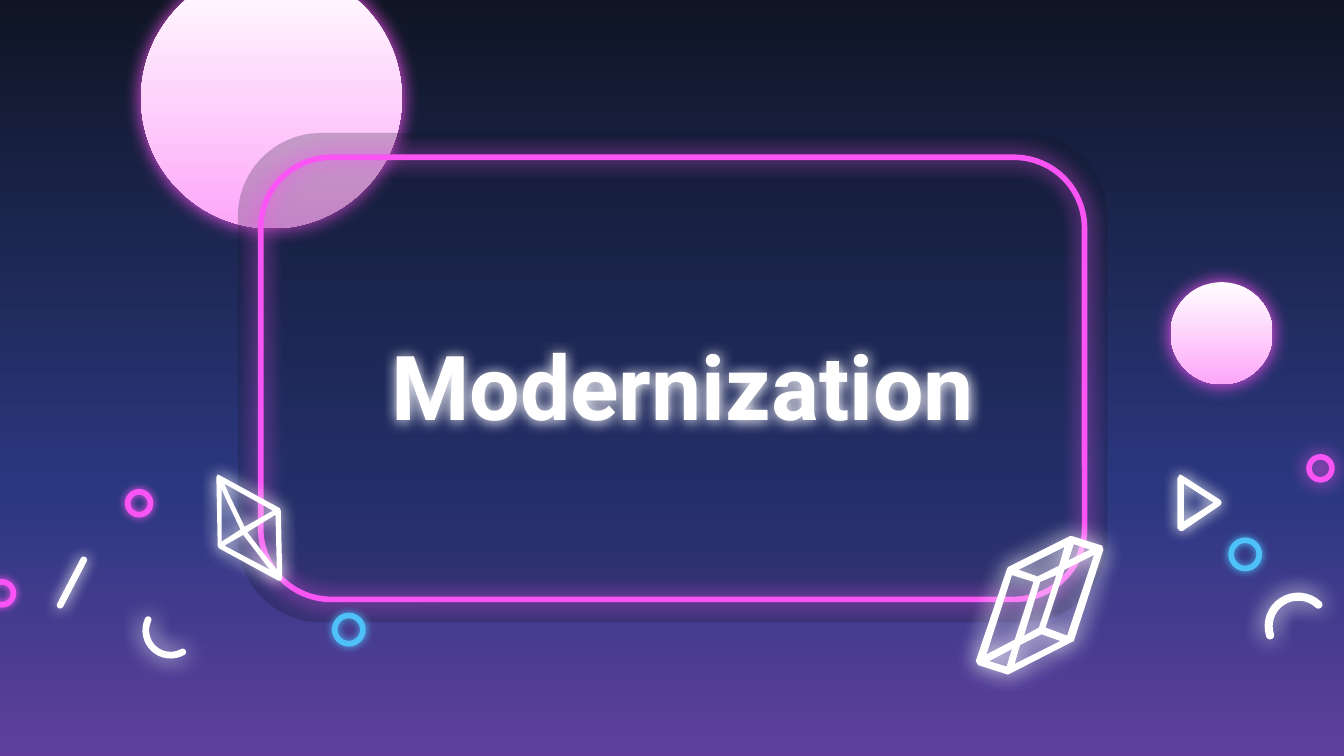
import math
from dataclasses import dataclass

import pptx
import pptx.dml.color
import pptx.enum.dml
import pptx.enum.shapes
import pptx.enum.text
import pptx.oxml
import pptx.oxml.ns
import pptx.util
from pptx.dml.color import RGBColor

# The slide is a grid of 100 columns; rows are as high as columns are wide
COLUMNS, ROWS = 100, 56.25
CELL = pptx.util.Inches(10) / COLUMNS

NIGHT = RGBColor(0x0F, 0x15, 0x24)
INDIGO = RGBColor(0x2B, 0x38, 0x80)
VIOLET = RGBColor(0x5F, 0x3F, 0x9E)
WHITE = RGBColor(0xFF, 0xFF, 0xFF)
PINK = RGBColor(0xFD, 0xA7, 0xF9)
NEON_PINK = RGBColor(0xFB, 0x54, 0xF4)
NEON_BLUE = RGBColor(0x4F, 0xC1, 0xF9)

OVAL = pptx.enum.shapes.MSO_SHAPE.OVAL
ROUNDED = pptx.enum.shapes.MSO_SHAPE.ROUNDED_RECTANGLE

Point = tuple[float, float]


@dataclass
class Circle:
    left: float
    top: float
    size: float
    color: RGBColor
    glow: float


@dataclass
class Arc:
    center: Point
    radius: float
    width: float
    start: float  # degrees, clockwise from the right
    end: float


@dataclass
class Figure:
    contours: list[list[Point]]  # the outline, then its holes
    glow: float


MOONS = [Circle(10.5, -2.4, 19.4, NEON_PINK, 10.1),
         Circle(87.1, 21, 7.6, NEON_PINK, 10.1)]
RINGS = [Circle(9.5, 36.6, 1.7, NEON_PINK, 4.5),
         Circle(97.4, 34, 1.7, NEON_PINK, 10.1),
         Circle(91.6, 40.2, 2.1, NEON_BLUE, 4.5),
         Circle(-0.7, 43.3, 1.7, NEON_PINK, 4.5)]
FRONT_RING = Circle(24.9, 45.8, 2.1, NEON_BLUE, 4.5)
ARCS = [Arc((12.7, 46.9), 1.85, 0.5, 61, 205),
        Arc((96.6, 46.6), 2.2, 0.6, 162, 313)]
TRIANGLE = Figure([
    [(87.8, 35.3), (87.6, 35.6), (87.6, 39.3), (87.8, 39.5), (88, 39.5),
     (90.8, 37.6), (90.9, 37.4), (90.8, 37.2), (88, 35.4)],
    [(88.1, 36), (90.3, 37.4), (88.1, 38.8)]], 7.9)
PRISM = Figure([
    [(79.6, 39.9), (75, 42.2), (74.9, 42.4), (72.6, 49.2), (72.8, 49.5),
     (75, 50.2), (79.7, 47.8), (79.9, 47.7), (82.1, 40.9), (82, 40.6), (79.8, 39.9)],
    [(81.1, 40.9), (79.5, 41.7), (79.9, 40.5)],
    [(79.2, 40.7), (78.8, 42.1), (77.2, 42.9), (75.8, 42.4)],
    [(81.4, 41.3), (79.4, 47.3), (77.8, 46.7), (79.2, 42.4)],
    [(78.6, 42.8), (77.3, 46.7), (76.2, 47.3), (77.4, 43.3)],
    [(76.9, 43.3), (75.5, 47.6), (73.4, 48.7), (75.3, 42.8)],
    [(78.9, 47.7), (75.5, 49.4), (75.9, 48), (77.5, 47.2)],
    [(75.3, 48.3), (74.9, 49.6), (73.6, 49.2)]], 12.4)
DIAMOND = Figure([
    [(16.1, 35.5), (16.2, 40.6), (16.3, 40.8), (20.7, 43.2), (20.9, 43.2),
     (21, 43), (20.9, 38), (20.8, 37.8), (16.4, 35.4), (16.2, 35.3)],
    [(16.7, 36), (20.3, 38), (18.2, 39.2), (17, 36.7)],
    [(16.5, 36.4), (16.8, 37.1), (17.9, 39.4), (16.5, 40.3)],
    [(18.1, 39.8), (19.7, 41.9), (20.1, 42.4), (16.7, 40.6)],
    [(20.5, 38.3), (20.6, 42.4), (20.1, 41.8), (18.4, 39.6)]], 9)


def cells(count: float) -> int:
    return round(count * CELL)


def add_glow(shape, color: RGBColor, points: float) -> None:
    """A blurred shadow with no offset."""
    effects = pptx.oxml.parse_xml(
        f'<a:effectLst {pptx.oxml.ns.nsdecls("a")}>'
        f'<a:outerShdw blurRad="{pptx.util.Pt(points)}" dist="0" algn="bl" rotWithShape="0">'
        f'<a:srgbClr val="{color}"/></a:outerShdw></a:effectLst>')
    shape.shadow.inherit = False
    properties = shape._element.spPr
    properties.replace(properties.find(pptx.oxml.ns.qn("a:effectLst")), effects)


def fill_downward(fill, stops: list[tuple[int, RGBColor]]) -> None:
    """A gradient from top to bottom; each stop is a percentage and a colour."""
    fill.gradient()
    fill.gradient_angle = 270
    stop_list = fill._fill._gradFill.find(pptx.oxml.ns.qn("a:gsLst"))
    for old_stop in list(stop_list):
        stop_list.remove(old_stop)
    for share, color in stops:
        stop_list.append(pptx.oxml.parse_xml(
            f'<a:gs {pptx.oxml.ns.nsdecls("a")} pos="{share * 1000}">'
            f'<a:srgbClr val="{color}"/></a:gs>'))


def add_preset(slide, kind, left: float, top: float, width: float, height: float):
    shape = slide.shapes.add_shape(kind, *map(cells, (left, top, width, height)))
    shape.shadow.inherit = False
    shape.line.fill.background()
    return shape


def outline(shape, color: RGBColor) -> None:
    shape.fill.background()
    shape.line.color.rgb = color
    shape.line.width = pptx.util.Pt(3)


def add_moon(slide, moon: Circle) -> None:
    shape = add_preset(slide, OVAL, moon.left, moon.top, moon.size, moon.size)
    fill_downward(shape.fill, [(0, WHITE), (100, PINK)])
    add_glow(shape, moon.color, moon.glow)


def add_ring(slide, ring: Circle) -> None:
    shape = add_preset(slide, OVAL, ring.left, ring.top, ring.size, ring.size)
    outline(shape, ring.color)
    add_glow(shape, ring.color, ring.glow)


def add_figure(slide, figure: Figure) -> None:
    paths = [[(cells(x), cells(y)) for x, y in contour] for contour in figure.contours]
    builder = slide.shapes.build_freeform(*paths[0][0])
    for path in paths:
        builder.move_to(*path[0])
        builder.add_line_segments(path[1:], close=True)
    shape = builder.convert_to_shape()
    shape.fill.solid()
    shape.fill.fore_color.rgb = WHITE
    shape.line.fill.background()
    add_glow(shape, WHITE, figure.glow)


def sweep(center: Point, radius: float, start: float, end: float) -> list[Point]:
    angles = [math.radians(start + (end - start) * step / 16) for step in range(17)]
    return [(center[0] + radius * math.cos(a), center[1] + radius * math.sin(a))
            for a in angles]


def add_arc(slide, arc: Arc) -> None:
    """A curved band with round ends."""
    half = arc.width / 2
    head, = sweep(arc.center, arc.radius, arc.start, arc.start)[:1]
    tail, = sweep(arc.center, arc.radius, arc.end, arc.end)[:1]
    band = (sweep(arc.center, arc.radius + half, arc.start, arc.end)
            + sweep(tail, half, arc.end, arc.end + 180)
            + sweep(arc.center, arc.radius - half, arc.end, arc.start)
            + sweep(head, half, arc.start + 180, arc.start + 360))
    add_figure(slide, Figure([band], 12.4))


def add_panel(slide) -> None:
    glass = add_preset(slide, ROUNDED, 17.7, 9.9, 64.7, 36.4)
    glass.adjustments[0] = 0.17
    glass.fill.solid()
    glass.fill.fore_color.rgb = NIGHT
    color = glass._element.spPr.find(".//" + pptx.oxml.ns.qn("a:srgbClr"))
    color.append(pptx.oxml.parse_xml(
        f'<a:alpha {pptx.oxml.ns.nsdecls("a")} val="24000"/>'))
    frame = add_preset(slide, ROUNDED, 19.4, 11.7, 61.3, 32.9)
    frame.adjustments[0] = 0.16
    outline(frame, NEON_PINK)
    add_glow(frame, NEON_PINK, 11.2)


def add_title(slide, wording: str) -> None:
    title = slide.shapes.add_textbox(*map(cells, (23.2, 20.4, 55.2, 16.5)))
    frame = title.text_frame
    frame_format = {"word_wrap": True,
                    "vertical_anchor": pptx.enum.text.MSO_ANCHOR.MIDDLE}
    frame_format |= {f"margin_{side}": cells(1)
                     for side in ("left", "top", "right", "bottom")}
    for name, value in frame_format.items():
        setattr(frame, name, value)
    paragraph = frame.paragraphs[0]
    paragraph.alignment = pptx.enum.text.PP_ALIGN.CENTER
    run = paragraph.add_run()
    run.text = wording
    for name, value in {"name": "Roboto", "size": pptx.util.Pt(48), "bold": True}.items():
        setattr(run.font, name, value)
    run.font.color.rgb = WHITE
    add_glow(title, WHITE, 8)


def main() -> None:
    deck = pptx.Presentation()
    deck.slide_width, deck.slide_height = cells(COLUMNS), cells(ROWS)
    slide = deck.slides.add_slide(deck.slide_layouts[6])
    fill_downward(slide.background.fill, [(0, NIGHT), (65, INDIGO), (100, VIOLET)])

    # Scattered neon decoration
    for moon in MOONS:
        add_moon(slide, moon)
    for arc in ARCS:
        add_arc(slide, arc)
    dash = add_preset(slide, ROUNDED, 5.1, 41.2, 0.5, 4.3)
    dash.adjustments[0] = 0.5
    dash.rotation = 27.5
    dash.fill.solid()
    dash.fill.fore_color.rgb = WHITE
    add_glow(dash, WHITE, 7.9)
    add_figure(slide, TRIANGLE)
    for ring in RINGS:
        add_ring(slide, ring)

    # Framed title, with the wireframe solids on its corners
    add_panel(slide)
    add_title(slide, "Modernization")
    add_figure(slide, PRISM)
    add_figure(slide, DIAMOND)
    add_ring(slide, FRONT_RING)
    deck.save("out.pptx")


if __name__ == "__main__":
    main()
